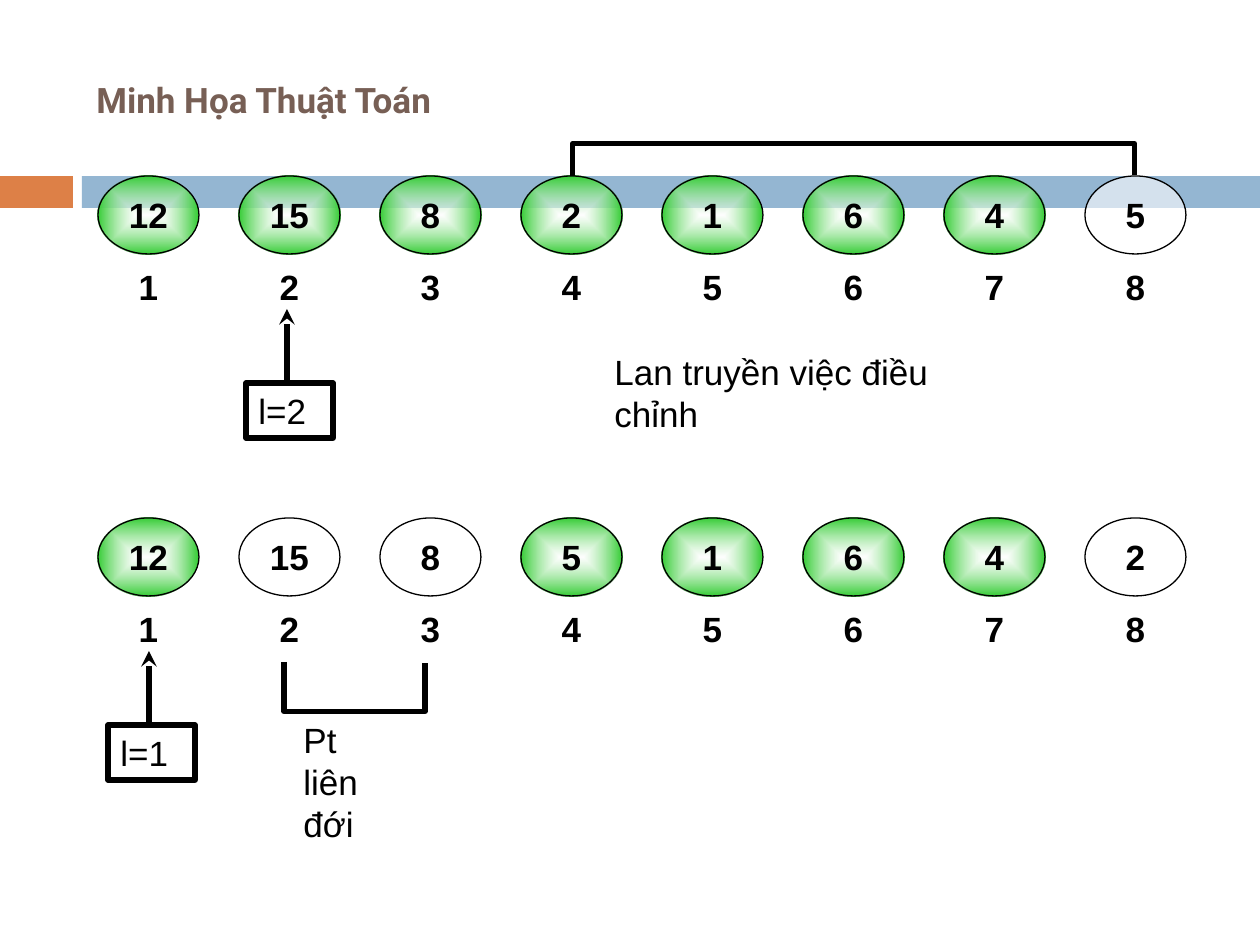
from lxml.etree import SubElement
from pptx import Presentation
from pptx.dml.color import RGBColor
from pptx.enum.shapes import MSO_CONNECTOR, MSO_SHAPE
from pptx.enum.text import MSO_ANCHOR, PP_ALIGN
from pptx.oxml import parse_xml
from pptx.oxml.ns import nsdecls, qn
from pptx.util import Emu, Pt

BLACK = RGBColor(0x00, 0x00, 0x00)
WHITE = RGBColor(0xFF, 0xFF, 0xFF)
BROWN = RGBColor(0x77, 0x5F, 0x55)
ORANGE = RGBColor(0xDD, 0x80, 0x47)
BLUE = RGBColor(0x94, 0xB6, 0xD2)
GREEN = RGBColor(0x33, 0xCC, 0x33)

PX = 914400 / 126
NODE_LEFT, NODE_PITCH, NODE_W, NODE_H = 98, 141, 101, 78
INDEX_DROP = 72

GREEN_GLOW = (
    f'<a:gradFill {nsdecls("a")} rotWithShape="1"><a:gsLst>'
    f'<a:gs pos="0"><a:srgbClr val="{WHITE}"><a:alpha val="60000"/></a:srgbClr></a:gs>'
    f'<a:gs pos="100000"><a:srgbClr val="{GREEN}"/></a:gs></a:gsLst>'
    '<a:path path="rect"><a:fillToRect l="50000" t="50000" r="50000" b="50000"/></a:path>'
    '</a:gradFill>'
)

prs = Presentation()
prs.slide_width, prs.slide_height = Emu(round(1260 * PX)), Emu(round(945 * PX))
slide = prs.slides.add_slide(prs.slide_layouts[6])


def add_box(kind, left, top, width, height, text="", line_pt=0, bold=False,
            color=BLACK, font="Arial", align=PP_ALIGN.LEFT, anchor=MSO_ANCHOR.MIDDLE):
    """Add a preset shape, or a text box when kind is None."""
    place = [Emu(round(n * PX)) for n in (left, top, width, height)]
    if kind is None:
        box = slide.shapes.add_textbox(*place)
    else:
        box = slide.shapes.add_shape(kind, *place)
        box.shadow.inherit = False
        box.fill.background()
        box.line.fill.background()
    if line_pt:
        box.line.color.rgb = BLACK
        box.line.width = Pt(line_pt)
    if text:
        frame = box.text_frame
        frame.word_wrap = True
        frame.vertical_anchor = anchor
        paragraph = frame.paragraphs[0]
        paragraph.alignment = align
        run = paragraph.add_run()
        run.text = text
        run.font.size = Pt(20)
        run.font.name = font
        run.font.bold = bold
        run.font.color.rgb = color
    return box


def add_line(kind, x1, y1, x2, y2):
    """Add a thick black connector without a shadow."""
    line = slide.shapes.add_connector(kind, *[Emu(round(n * PX)) for n in (x1, y1, x2, y2)])
    line.line.color.rgb = BLACK
    line.line.width = Pt(3)
    SubElement(line._element.spPr, qn("a:effectLst"))
    return line


# Theme bar and title
for left, width, color in ((0, 73, ORANGE), (82, 1178, BLUE)):
    bar = add_box(MSO_SHAPE.RECTANGLE, left, 176, width, 32)
    bar.fill.solid()
    bar.fill.fore_color.rgb = color
add_box(None, 84, 32, 1124, 136, "Minh Họa Thuật Toán", bold=True, color=BROWN, font="Roboto")

# Two array states: top, values, positions drawn white, marker text and left edge
states = (
    (176, (12, 15, 8, 2, 1, 6, 4, 5), {8}, "l=2", 246),
    (518, (12, 15, 8, 5, 1, 6, 4, 2), {2, 3, 8}, "l=1", 108),
)
for top, values, white_positions, marker, marker_left in states:
    for position, value in enumerate(values, start=1):
        left = NODE_LEFT + NODE_PITCH * (position - 1)
        node = add_box(MSO_SHAPE.OVAL, left, top, NODE_W, NODE_H, str(value),
                       line_pt=0.75, bold=True, align=PP_ALIGN.CENTER)
        if position in white_positions:
            node.fill.solid()
            node.fill.fore_color.rgb = WHITE
            tint = node._element.spPr.find(qn("a:solidFill"))[0]
            SubElement(tint, qn("a:alpha"), val="60000")
        else:
            no_fill = node._element.spPr.find(qn("a:noFill"))
            no_fill.getparent().replace(no_fill, parse_xml(GREEN_GLOW))
        add_box(MSO_SHAPE.OVAL, left, top + INDEX_DROP, NODE_W, NODE_H, str(position),
                bold=True, align=PP_ALIGN.CENTER)

    # Marker box with its arrow up to the current position
    marker_top = top + 207
    add_box(MSO_SHAPE.RECTANGLE, marker_left, marker_top, 87, 55, marker, line_pt=3)
    arrow_x = marker_left + 41
    arrow = add_line(MSO_CONNECTOR.STRAIGHT, arrow_x, marker_top, arrow_x, marker_top - 74)
    SubElement(arrow.line._get_or_add_ln(), qn("a:tailEnd"), type="stealth")

# Remarks
for left, top, width, height, remark in (
    (602, 344, 408, 97, "Lan truyền việc điều chỉnh"),
    (291, 712, 107, 139, "Pt liên đới"),
):
    add_box(None, left, top, width, height, remark, anchor=MSO_ANCHOR.TOP)

# Brackets: elbows one px wide before turning, so the adjustment is their depth in px
for x1, y1, x2, y2, turn, depth in (
    (854, 457, 853, -105, 90, 33),
    (355, 592, 354, 733, 270, 50),
):
    bracket = add_line(MSO_CONNECTOR.ELBOW, x1, y1, x2, y2)
    bracket._element.spPr.find(qn("a:xfrm")).set("rot", str(turn * 60000))
    guides = bracket._element.spPr.find(qn("a:prstGeom")).find(qn("a:avLst"))
    SubElement(guides, qn("a:gd"), name="adj1", fmla=f"val {depth * 100000}")

prs.save("out.pptx")
